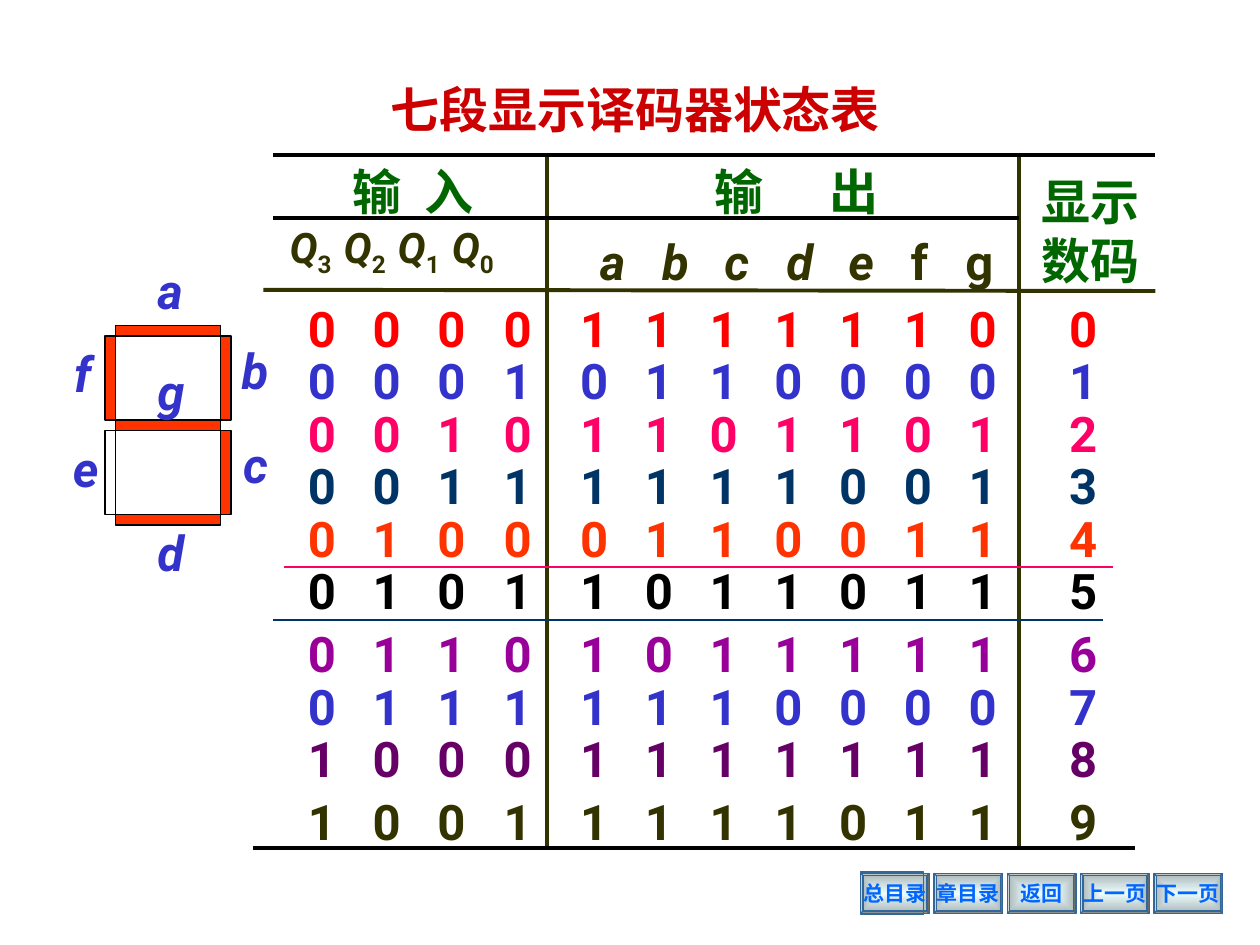
from dataclasses import dataclass

from lxml import etree
from pptx import Presentation
from pptx.dml.color import RGBColor as Color
from pptx.enum.shapes import MSO_CONNECTOR as Connector, MSO_SHAPE as Shape
from pptx.enum.text import MSO_ANCHOR as Anchor, MSO_AUTO_SIZE as AutoSize, PP_ALIGN as Align
from pptx.oxml.ns import qn
from pptx.util import Pt


@dataclass(frozen=True)
class Theme:
    body_font: str = "Roboto"
    title_font: str = "Times New Roman"
    large: int = 28
    medium: int = 24
    small: int = 12
    title: str = "CC0000"
    heading: str = "006600"
    olive: str = "333300"
    blue: str = "3333CC"
    black: str = "000000"
    white: str = "FFFFFF"
    navy: str = "003366"
    pink: str = "FF0066"
    orange: str = "FF3300"
    button_text: str = "0066FF"
    button_line: str = "336699"
    button_center: str = "ECFDFE"
    button_edge: str = "AAB6B7"


THEME = Theme()

# Inputs, outputs, displayed digit, text colour
STATES = [
    ("0000", "1111110", "0", "FF0000"),
    ("0001", "0110000", "1", THEME.blue),
    ("0010", "1101101", "2", THEME.pink),
    ("0011", "1111001", "3", THEME.navy),
    ("0100", "0110011", "4", THEME.orange),
    ("0101", "1011011", "5", THEME.black),
    ("0110", "1011111", "6", "990099"),
    ("0111", "1110000", "7", THEME.blue),
    ("1000", "1111111", "8", "660066"),
    ("1001", "1111011", "9", THEME.olive),
]


def set_values(target, values):
    for name, value in values.items():
        setattr(target, name, value)


def add_run(paragraph, text, color, size=THEME.large, font=THEME.body_font, italic=False):
    run = paragraph.add_run()
    run.text = text
    set_values(run.font, {"name": font, "size": Pt(size), "bold": True, "italic": italic})
    run.font.color.rgb = Color.from_string(color)
    return run


def set_outline(shape, color):
    shape.shadow.inherit = False
    shape.line.color.rgb = Color.from_string(color)
    shape.line.width = Pt(0.75)


def add_rule(slide, x1, y1, x2, y2, color, width=2.25):
    rule = slide.shapes.add_connector(Connector.STRAIGHT, Pt(x1), Pt(y1), Pt(x2), Pt(y2))
    rule.line.color.rgb = Color.from_string(color)
    rule.line.width = Pt(width)
    etree.SubElement(rule._element.spPr, qn("a:effectLst"))


def add_title(slide, left, top, width, height):
    title = slide.shapes.title
    set_values(title, {"left": Pt(left), "top": Pt(top), "width": Pt(width), "height": Pt(height)})
    set_values(title.text_frame, {"vertical_anchor": Anchor.TOP, "word_wrap": True,
                                  "auto_size": AutoSize.NONE})
    paragraph = title.text_frame.paragraphs[0]
    paragraph.alignment = Align.LEFT
    add_run(paragraph, "七段显示译码器状态表", THEME.title, font=THEME.title_font)


def add_label(slide, left, top, width, height, text, color, wrap=False, italic=False):
    label = slide.shapes.add_textbox(Pt(left), Pt(top), Pt(width), Pt(height))
    label.text_frame.word_wrap = wrap
    add_run(label.text_frame.paragraphs[0], text, color, italic=italic)


def add_segment_display(slide, left, top):
    thick, across, down = 6, 60, 48
    step = thick + down
    right = thick + across
    # Segment offset, upright or not, label offset
    segments = {
        "a": (thick, 0, False, 22.8, -40.5),
        "b": (right, thick, True, 71, 5),
        "c": (right, thick + step, True, 71.8, 59),
        "d": (thick, 2 * step, False, 22.8, 109),
        "e": (0, thick + step, True, -25.4, 61),
        "f": (0, thick, True, -24.7, 7),
        "g": (thick, step, False, 22.8, 17),
    }
    for name, (x, y, upright, label_x, label_y) in segments.items():
        width, height = (thick, down) if upright else (across, thick)
        segment = slide.shapes.add_shape(
            Shape.RECTANGLE, Pt(left + x), Pt(top + y), Pt(width), Pt(height))
        segment.fill.solid()
        segment.fill.fore_color.rgb = Color.from_string(
            THEME.white if name == "e" else THEME.orange)
        set_outline(segment, THEME.black)
        add_label(slide, left + label_x, top + label_y, 31, 41, name, THEME.blue, italic=True)


def format_cell(cell, align, left=0, bottom=0, spacing=THEME.large):
    """Prepares a cell and returns its paragraph."""
    set_values(cell, {"margin_left": Pt(left), "margin_right": 0, "margin_top": 0,
                      "margin_bottom": Pt(bottom), "vertical_anchor": Anchor.BOTTOM})
    paragraph = cell.text_frame.paragraphs[0]
    set_values(paragraph, {"alignment": align, "line_spacing": Pt(spacing)})
    return paragraph


def add_tab_stops(paragraph, positions):
    tabs = etree.SubElement(paragraph._p.get_or_add_pPr(), qn("a:tabLst"))
    for position in positions:
        etree.SubElement(tabs, qn("a:tab"), pos=str(Pt(position)), algn="l")


def fill_headings(table):
    # Group headings
    for first, last, text, left, stop in ((0, 3, "输\t入", 35.8, 41.2),
                                          (4, 10, "输\t出", 93.2, 66)):
        for row in (0, 1):
            table.cell(row, first).merge(table.cell(row, last))
        paragraph = format_cell(table.cell(0, first), Align.LEFT, left)
        add_tab_stops(paragraph, [stop])
        add_run(paragraph, text, THEME.heading)

    # Input names with subscripts
    paragraph = format_cell(table.cell(1, 0), Align.LEFT, bottom=15.5, spacing=THEME.medium)
    add_tab_stops(paragraph, [30.9 * number for number in (1, 2, 3)])
    for digit in "3210":
        add_run(paragraph, "Q", THEME.olive, THEME.medium, italic=True)
        ending = "" if digit == "0" else "\t"
        subscript = add_run(paragraph, digit + ending, THEME.olive, THEME.medium)
        subscript._r.get_or_add_rPr().set("baseline", "-25000")

    # Output names
    paragraph = format_cell(table.cell(1, 4), Align.LEFT, left=27.8, bottom=8)
    add_tab_stops(paragraph, [35.5 * number for number in range(1, 6)] + [208.8])
    add_run(paragraph, "\t".join("abcde"), THEME.olive, italic=True)
    add_run(paragraph, "\tf\tg", THEME.olive)


def add_state_table(slide, left, top):
    gap = 6
    widths = [37] * 4 + [37 + gap] + [37] * 6 + [78]
    heights = [40, 46.7] + [30] * 6 + [36, 30, 30, 36]
    table = slide.shapes.add_table(len(heights), len(widths), Pt(left), Pt(top),
                                   Pt(sum(widths)), Pt(sum(heights))).table
    set_values(table, {"first_row": False, "horz_banding": False})
    for column, width in zip(table.columns, widths):
        column.width = Pt(width)
    for row, height in zip(table.rows, heights):
        row.height = Pt(height)
        for cell in row.cells:
            cell.fill.background()
    fill_headings(table)
    for row, (inputs, outputs, digit, color) in enumerate(STATES, start=2):
        for column, value in enumerate(inputs + outputs + digit):
            paragraph = format_cell(table.cell(row, column), Align.CENTER,
                                    left=gap if column == 4 else 0)
            add_run(paragraph, value, color)

    # Heading that spans both header rows
    add_label(slide, left + 422.7, top + 5.7, 90, 75, "显示数码", THEME.heading, wrap=True)

    # Rules, which reach past the cells
    bottom = top + 396
    for x in (left + 147, left + 417):
        add_rule(slide, x, top, x, bottom, THEME.olive)
    for x1, y1, x2, y2, color, width in (
            (-9.3, 0, 494.7, 0, THEME.black, 2.25),
            (-9.3, 36, 417, 36, THEME.black, 2.25),
            (-15, 77, 494.7, 77.7, THEME.olive, 2.25),
            (-3.5, 235.4, 470.3, 235.4, THEME.pink, 1.5),
            (-9.3, 265.6, 464.5, 265.6, THEME.navy, 1.5),
            (-20.8, 396, 483.2, 396, THEME.black, 2.25)):
        add_rule(slide, left + x1, top + y1, left + x2, top + y2, color, width)


def add_navigation(slide, left, top, width, height):
    for number, text in enumerate(("总目录", "章目录", "返回", "上一页", "下一页")):
        button = slide.shapes.add_shape(
            Shape.BEVEL, Pt(left + 41.9 * number), Pt(top), Pt(width), Pt(height))
        button.adjustments[0] = 0.06
        set_outline(button, THEME.button_line)
        # Gradient running from the centre to the edges
        button.fill.gradient()
        for stop, color in zip(button.fill.gradient_stops,
                               (THEME.button_center, THEME.button_edge)):
            stop.color.rgb = Color.from_string(color)
        gradient = button._element.spPr.find(qn("a:gradFill"))
        linear = gradient.find(qn("a:lin"))
        shade = etree.Element(qn("a:path"), {"path": "rect"})
        etree.SubElement(shade, qn("a:fillToRect"), dict.fromkeys("ltrb", "50000"))
        gradient.replace(linear, shade)
        set_values(button.text_frame, {"word_wrap": False, "vertical_anchor": Anchor.MIDDLE})
        paragraph = button.text_frame.paragraphs[0]
        paragraph.alignment = Align.CENTER
        add_run(paragraph, text, THEME.button_text, THEME.small, THEME.title_font)
    # Frame on the first button
    frame = slide.shapes.add_shape(
        Shape.RECTANGLE, Pt(left), Pt(top - 0.7), Pt(36), Pt(height + 1.4))
    frame.fill.background()
    set_outline(frame, THEME.button_line)


def main():
    presentation = Presentation()
    set_values(presentation, {"slide_width": Pt(720), "slide_height": Pt(540)})
    slide = presentation.slides.add_slide(presentation.slide_layouts[5])
    add_navigation(slide, 491.8, 499, 39.3, 23)
    add_title(slide, 216, 41.8, 312, 41)
    add_segment_display(slide, 60, 186)
    add_state_table(slide, 165.5, 88.6)
    presentation.save("out.pptx")


if __name__ == "__main__":
    main()
